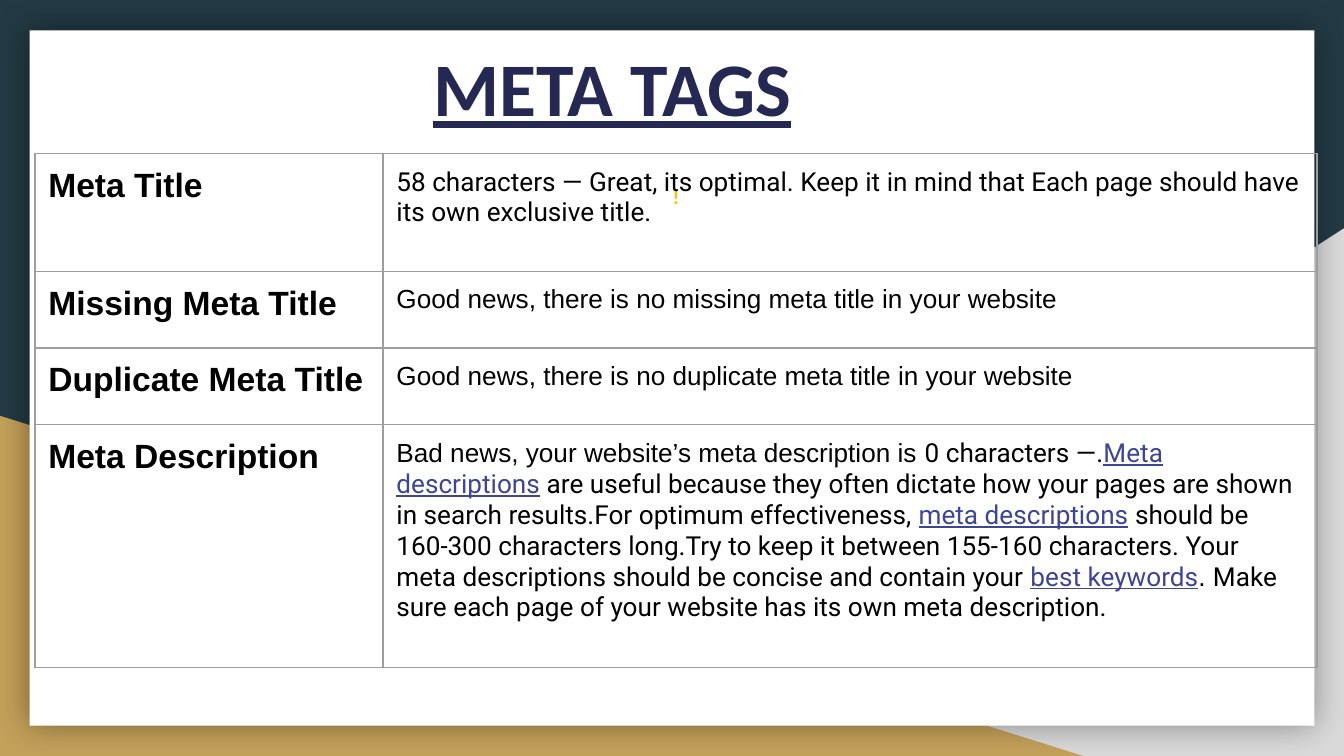
from lxml import etree
from pptx import Presentation, util as u
from pptx.dml.color import RGBColor
from pptx.enum import shapes, text
from pptx.oxml import ns

HUE = {"back": "233A44", "grey": "D9D9D9", "gold": "C4A15A", "white": "FFFFFF",
       "navy": "242852", "mark": "FFC000", "rule": "9E9E9E", "ink": "000000",
       "link": "3D4594"}
WIDE = 10
HIGH = WIDE * 9 / 16
PAGE = (0, 0, WIDE, HIGH)
HEAD = (0.7, 0.2, 8.14, 0.89)
BODY = (0.26, 1.1, 9.54, 3.75)
GRID = (0.26, 1.14, 9.54, 3.83)
COLS = (2.59, 6.95)
ROWS = (0.88, 0.57, 0.57, 1.81)

TAGS = [
    ("Meta Title", [("58 characters — Great, its optimal. Keep it in mind that Each page "
                     "should have its own exclusive title.", "Roboto", "ink")]),
    ("Missing Meta Title", [("Good news, there is no missing meta title in your website",
                             "Arial", "ink")]),
    ("Duplicate Meta Title", [("Good news, there is no duplicate meta title in your website",
                               "Arial", "ink")]),
    ("Meta Description", [
        ("Bad news, your website’s meta description is ", "Arial", "ink"),
        ("0 characters —.", "Roboto", "ink"),
        ("Meta descriptions", "Roboto", "link"),
        (" are useful because they often dictate how your pages are shown in search "
         "results.For optimum effectiveness, ", "Roboto", "ink"),
        ("meta descriptions", "Roboto", "link"),
        (" should be 160-300 characters long.Try to keep it between 155-160 characters. "
         "Your meta descriptions should be concise and contain your ", "Roboto", "ink"),
        ("best keywords", "Roboto", "link"),
        (". ", "Arial", "ink"),
        ("Make sure each page of your website has its own meta description.",
         "Roboto", "ink")]),
]


def rgb(hue):
    """Return the named colour."""
    return RGBColor.from_string(HUE[hue])


def part(box, x, y, w, h):
    """Turn shares of a box into lengths."""
    left, top, wide, high = box
    return [u.Inches(n) for n in (left + x * wide, top + y * high, w * wide, h * high)]


def add_run(para, words, font, size, hue, bold=False, line=False):
    """Add one styled run."""
    run = para.add_run()
    run.text = words
    face = run.font
    face.name, face.size, face.bold, face.underline = font, u.Pt(size), bold, line
    face.color.rgb = rgb(hue)


def add_form(slide, kind, place, hue):
    """Add a plain filled shape."""
    form = slide.shapes.add_shape(kind, *place)
    form.shadow.inherit = False
    form.fill.solid()
    form.fill.fore_color.rgb = rgb(hue)
    form.line.fill.background()
    return form


def add_back(slide, box):
    """Place the two corner wedges and the white sheet."""
    fill = slide.background.fill
    fill.solid()
    fill.fore_color.rgb = rgb("back")
    wedge, sheet = shapes.MSO_SHAPE.RIGHT_TRIANGLE, shapes.MSO_SHAPE.RECTANGLE
    grey = add_form(slide, wedge, part(box, 0.392, 0.302, 0.608, 0.698), "grey")
    grey.element.spPr.xfrm.set("flipH", "1")
    add_form(slide, wedge, part(box, 0, 0.55, 0.806, 0.45), "gold")
    page = add_form(slide, sheet, part(box, 0.022, 0.04, 0.956, 0.92), "white")
    glow = page.element.spPr.find(ns.qn("a:effectLst"))
    cast = etree.SubElement(glow, ns.qn("a:outerShdw"), blurRad=str(u.Pt(18)),
                            dist="0", dir="0", algn="ctr", rotWithShape="0")
    tone = etree.SubElement(cast, ns.qn("a:srgbClr"), val=HUE["ink"])
    etree.SubElement(tone, ns.qn("a:alpha"), val="40000")


def add_text(slide, box, left=0.1, top=0.1):
    """Add an empty text box and return its frame."""
    frame = slide.shapes.add_textbox(*part(box, 0, 0, 1, 1)).text_frame
    frame.word_wrap = True
    frame.margin_left, frame.margin_top = u.Inches(left), u.Inches(top)
    frame.margin_right = frame.margin_bottom = u.Inches(0.1)
    return frame


def add_head(slide, box):
    """Place the heading."""
    frame = add_text(slide, box, left=box[2] * 0.31)
    frame.vertical_anchor = text.MSO_ANCHOR.MIDDLE
    add_run(frame.paragraphs[0], "META TAGS", "Calibri", 40.5, "navy", True, True)


def add_mark(slide, box):
    """Place the small centred mark."""
    para = add_text(slide, box, top=box[3] * 0.1).paragraphs[0]
    para.alignment = text.PP_ALIGN.CENTER
    para.line_spacing = 1.15
    add_run(para, "!", "Calibri", 11, "mark", True)


def add_edge(cell):
    """Draw the four borders of a cell."""
    prop = cell._tc.get_or_add_tcPr()
    for spot, side in enumerate("LRTB"):
        line = etree.Element(ns.qn("a:ln" + side), w=str(u.Pt(0.75)))
        fill = etree.SubElement(line, ns.qn("a:solidFill"))
        etree.SubElement(fill, ns.qn("a:srgbClr"), val=HUE["rule"])
        prop.insert(spot, line)


def add_grid(slide, box):
    """Place the table of tags."""
    grid = slide.shapes.add_table(len(ROWS), len(COLS), *part(box, 0, 0, 1, 1)).table
    grid.first_row = grid.horz_banding = False
    for col, wide in zip(grid.columns, COLS):
        col.width = u.Inches(wide)
    for row, high, (name, runs) in zip(grid.rows, ROWS, TAGS):
        row.height = u.Inches(high)
        for cell in row.cells:
            cell.margin_left = cell.margin_right = u.Inches(0.1)
            cell.margin_top = cell.margin_bottom = u.Inches(0.1)
            cell.fill.background()
            add_edge(cell)
        label, note = (cell.text_frame.paragraphs[0] for cell in row.cells)
        add_run(label, name, "Arial", 18, "ink", True)
        for words, font, hue in runs:
            add_run(note, words, font, 14, hue, line=hue == "link")


def main():
    """Build and save the slide."""
    deck = Presentation()
    deck.slide_width, deck.slide_height = u.Inches(WIDE), u.Inches(HIGH)
    slide = deck.slides.add_slide(deck.slide_layouts[6])
    add_back(slide, PAGE)
    add_head(slide, HEAD)
    add_mark(slide, BODY)
    add_grid(slide, GRID)
    deck.save("out.pptx")


if __name__ == "__main__":
    main()
